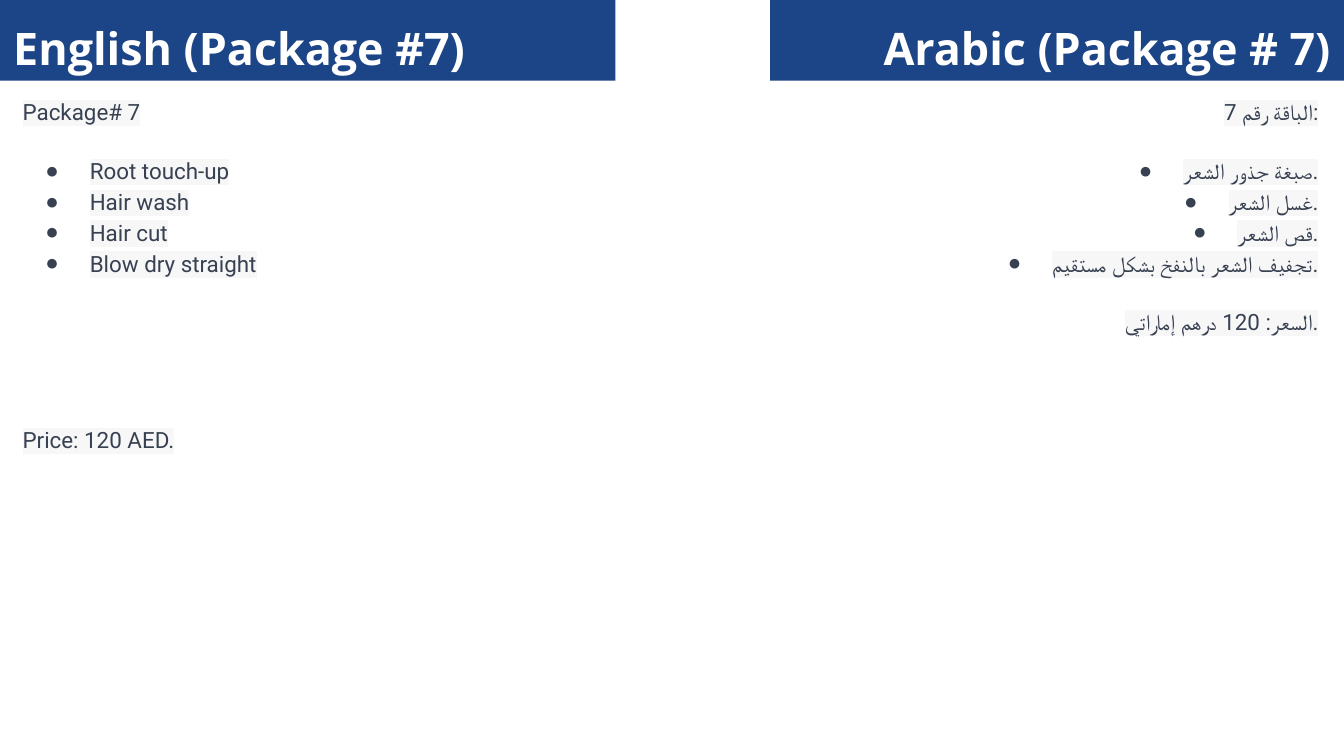
from lxml import etree
from pptx import Presentation, util as u
from pptx.dml.color import RGBColor
from pptx.enum import shapes, text
from pptx.oxml.ns import qn

COLORS = {"banner": "1C4587", "title": "FFFFFF", "body": "374151", "highlight": "F7F7F8"}
LEFT, RIGHT = text.PP_ALIGN.LEFT, text.PP_ALIGN.RIGHT

ENGLISH_SERVICES = ["Root touch-up", "Hair wash", "Hair cut", "Blow dry straight"]
ARABIC_SERVICES = ["صبغة جذور الشعر.", "غسل الشعر.", "قص الشعر.",
                   "تجفيف الشعر بالنفخ بشكل مستقيم."]


def add_color(parent, tag, color):
    element = etree.SubElement(parent, qn(tag))
    etree.SubElement(element, qn("a:srgbClr"), val=COLORS[color])


def add_run(paragraph, words, font_name, size, color, bold=False, highlight=None):
    run = paragraph.add_run()
    run.text = words
    font = run.font
    font.size, font.bold = u.Pt(size), bold
    font.color.rgb = RGBColor.from_string(COLORS[color])
    properties = run._r.get_or_add_rPr()
    if highlight:
        add_color(properties, "a:highlight", highlight)
    font.name = font_name
    for tag in ("a:ea", "a:cs"):
        etree.SubElement(properties, qn(tag), typeface=font_name)


def set_bullet(paragraph):
    properties = paragraph._p.get_or_add_pPr()
    properties.set("marL", str(u.Inches(0.5)))
    properties.set("indent", str(u.Inches(-0.33)))
    add_color(properties, "a:buClr", "body")
    etree.SubElement(properties, qn("a:buFont"), typeface="Arial")
    etree.SubElement(properties, qn("a:buChar"), char="●")


def add_banner(slide, box, title, alignment):
    shape = slide.shapes.add_shape(shapes.MSO_SHAPE.RECTANGLE, *map(u.Inches, box))
    shape.shadow.inherit = False
    shape.fill.solid()
    shape.fill.fore_color.rgb = RGBColor.from_string(COLORS["banner"])
    shape.line.fill.background()
    frame = shape.text_frame
    frame.word_wrap = True
    frame.vertical_anchor = text.MSO_ANCHOR.BOTTOM
    paragraph = frame.paragraphs[0]
    paragraph.alignment = alignment
    add_run(paragraph, title, "Open Sans", 24, "title", bold=True)


def add_package(slide, box, heading, services, price, price_gap, alignment):
    frame = slide.shapes.add_textbox(*map(u.Inches, box)).text_frame
    frame.word_wrap = True
    frame.auto_size = text.MSO_AUTO_SIZE.SHAPE_TO_FIT_TEXT
    frame.margin_left = frame.margin_right = u.Inches(0.1)
    frame.margin_top = frame.margin_bottom = u.Inches(0.1)

    # Heading, bulleted services, then the price
    lines = [heading, *services, price]
    gaps = {1: 15, len(lines) - 1: price_gap}
    for index, words in enumerate(lines):
        paragraph = frame.add_paragraph() if index else frame.paragraphs[0]
        paragraph.alignment = alignment
        paragraph.line_spacing = 1.15
        paragraph.space_before = u.Pt(gaps.get(index, 0))
        if 0 < index <= len(services):
            set_bullet(paragraph)
        add_run(paragraph, words, "Roboto", 12, "body", highlight="highlight")


def main():
    # Widescreen slide, 16:9
    presentation = Presentation()
    presentation.slide_width = u.Inches(10)
    presentation.slide_height = u.Inches(10 * 9 / 16)
    slide = presentation.slides.add_slide(presentation.slide_layouts[6])

    # Package details
    add_package(slide, (0.07, 0.6, 4.36, 3.31), "Package# 7", ENGLISH_SERVICES,
                "Price: 120 AED.", 78, LEFT)
    add_package(slide, (5.11, 0.6, 4.8, 2.22), "الباقة رقم 7:", ARABIC_SERVICES,
                "السعر: 120 درهم إماراتي.", 15, RIGHT)

    # Language banners
    add_banner(slide, (0, 0, 4.58, 0.6), "English (Package #7)", LEFT)
    add_banner(slide, (5.73, 0, 4.27, 0.6), "Arabic (Package # 7)", RIGHT)

    presentation.save("out.pptx")


if __name__ == "__main__":
    main()
